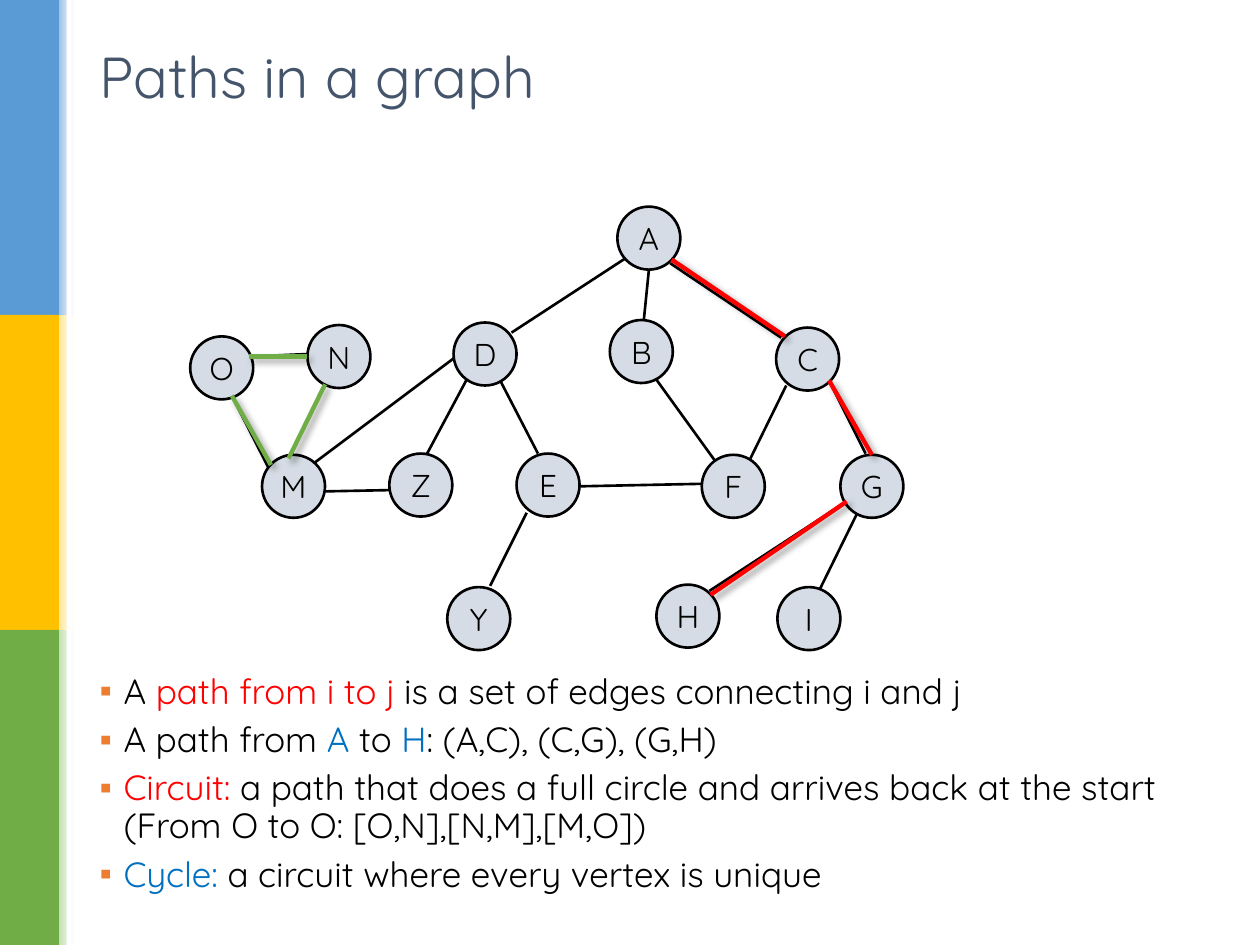
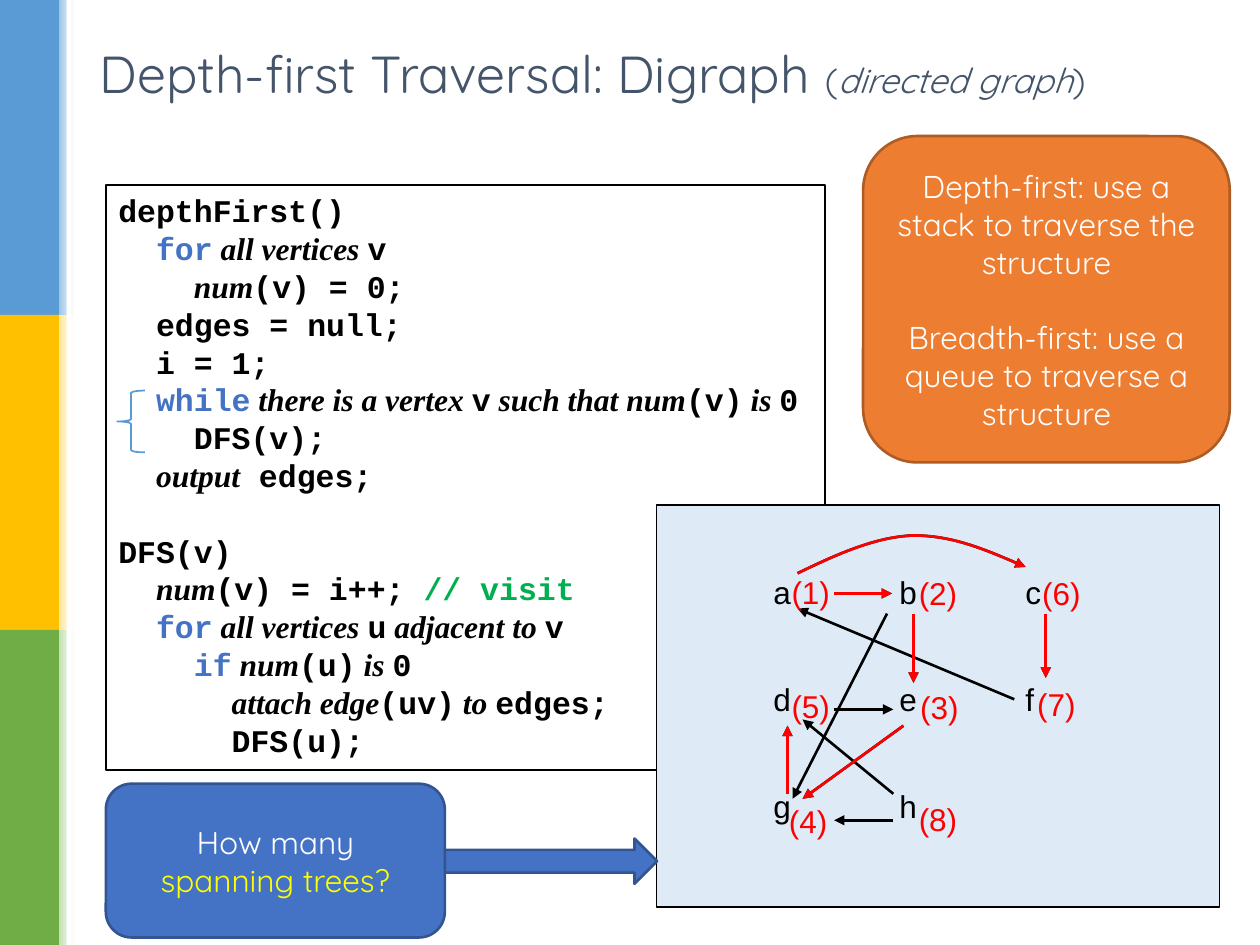
from lxml import etree
from pptx import Presentation
from pptx import util as u
from pptx.dml import color
from pptx.enum import shapes, text
from pptx.oxml import ns

COLORS = {
    "black": "000000", "white": "FFFFFF", "slate": "44546A", "node": "D6DCE5",
    "red": "FF0000", "green": "70AD47", "link": "0070C0", "orange": "ED7D31",
    "rust": "AF5C24", "blue": "4472C4", "navy": "325491", "yellow": "FFFF00",
    "comment": "00B050", "panel": "DEEBF7", "sky": "5B9BD5", "gold": "FFC000",
    "pale sky": "9DC3E6", "pale gold": "FFE699", "pale green": "C5E0B4",
}
BANDS = [("sky", "pale sky"), ("gold", "pale gold"), ("green", "pale green")]
FONT = "Quicksand"
CODE_STYLES = {
    "code": ("Courier New", "black", False),
    "keyword": ("Courier New", "blue", False),
    "comment": ("Courier New", "comment", False),
    "prose": ("Times New Roman", "black", True),
}
LINE_PITCH = 21.6
SHAPE = shapes.MSO_SHAPE
CENTER = text.PP_ALIGN.CENTER
MIDDLE = text.MSO_ANCHOR.MIDDLE


def rgb(name):
    return color.RGBColor.from_string(COLORS[name])


def inches(*values):
    return [u.Inches(value) for value in values]


def add_xml(parent, tag, **attributes):
    return etree.SubElement(parent, ns.qn(tag), attributes)


def write_span(para, words, size, ink="black", font=FONT, bold=None, italic=None):
    span = para.add_run()
    span.text = words
    style_span(span, size, ink, font, bold, italic)


def style_span(span, size, ink="black", font=FONT, bold=None, italic=None):
    span.font.size, span.font.name = u.Pt(size), font
    span.font.bold, span.font.italic = bold, italic
    span.font.color.rgb = rgb(ink)


def set_outline(shape, ink, width):
    shape.line.color.rgb = rgb(ink)
    shape.line.width = u.Pt(width)


def add_box(page, kind, box, fill=None, ink=None, width=1.5):
    shape = page.shapes.add_shape(kind, *inches(*box))
    shape.shadow.inherit = False
    if fill:
        shape.fill.solid()
        shape.fill.fore_color.rgb = rgb(fill)
    else:
        shape.fill.background()
    if ink:
        set_outline(shape, ink, width)
    else:
        shape.line.fill.background()
    return shape


def add_arrowhead(shape):
    add_xml(shape.line._get_or_add_ln(), "a:tailEnd", type="triangle")


def add_edge(page, origin, ends, ink="black", width=1.5, arrow=False, shadow=False):
    left, top = origin
    x1, y1, x2, y2 = ends
    edge = page.shapes.add_connector(
        shapes.MSO_CONNECTOR.STRAIGHT, *inches(left + x1, top + y1, left + x2, top + y2))
    set_outline(edge, ink, width)
    if arrow:
        add_arrowhead(edge)
    effects = add_xml(edge._element.spPr, "a:effectLst")
    if shadow:
        outer = add_xml(effects, "a:outerShdw", blurRad=str(u.Pt(4)), dist=str(u.Pt(3)),
                        dir="2700000", algn="tl", rotWithShape="0")
        tint = add_xml(outer, "a:srgbClr", val=COLORS["black"])
        add_xml(tint, "a:alpha", val="40000")


def add_curve(page, origin, points, ink):
    left, top = origin
    places = [inches(left + x, top + y) for x, y in points]
    builder = page.shapes.build_freeform(*places[0])
    builder.add_line_segments(places[1:], close=False)
    curve = builder.convert_to_shape()
    curve.shadow.inherit = False
    curve.fill.background()
    set_outline(curve, ink, 1.5)
    add_arrowhead(curve)
    segments = list(curve._element.iter(ns.qn("a:lnTo")))
    for start in range(0, len(segments), 3):
        bezier = etree.Element(ns.qn("a:cubicBezTo"))
        segments[start].addprevious(bezier)
        for segment in segments[start:start + 3]:
            bezier.append(segment[0])
            segment.getparent().remove(segment)


def add_master_bands(deck, page):
    height = 7.5 / len(BANDS)
    pieces = []
    for row, (solid, pale) in enumerate(BANDS):
        pieces.append(add_box(page, SHAPE.RECTANGLE, (0, row * height, 0.47, height), solid))
        fade = add_box(page, SHAPE.RECTANGLE, (0.47, row * height, 0.12, height), "white")
        fade.fill.gradient()
        fade.fill.gradient_angle = 0
        for stop, shade in zip(fade.fill.gradient_stops, (pale, "white")):
            stop.color.rgb = rgb(shade)
        pieces.append(fade)
    pieces.append(add_box(page, SHAPE.RECTANGLE, (0.53, 0, 0.04, 7.5), "white"))
    tree = deck.slide_master.shapes._spTree
    for order, piece in enumerate(pieces):
        piece._element.nvSpPr.cNvPr.set("id", str(100 + order))
        tree.insert(2 + order, piece._element)


def place(shape, box):
    shape.left, shape.top, shape.width, shape.height = inches(*box)
    shape.text_frame.word_wrap = True
    shape.text_frame.auto_size = text.MSO_AUTO_SIZE.NONE


def add_title(page, box, spans):
    title = page.shapes.title
    place(title, box)
    title.text_frame.vertical_anchor = MIDDLE
    para = title.text_frame.paragraphs[0]
    para.alignment = text.PP_ALIGN.LEFT
    for words, size, italic in spans:
        write_span(para, words, size, "slate", italic=italic)


def add_bullets(page, box, items):
    body = page.placeholders[1]
    place(body, box)
    frame = body.text_frame
    for number, spans in enumerate(items):
        para = frame.add_paragraph() if number else frame.paragraphs[0]
        para.line_spacing, para.space_before = 0.9, u.Pt(6)
        settings = para._p.get_or_add_pPr()
        settings.set("marL", str(u.Inches(0.19)))
        settings.set("indent", str(u.Inches(-0.19)))
        add_xml(add_xml(settings, "a:buClr"), "a:srgbClr", val=COLORS["orange"])
        add_xml(settings, "a:buFont", typeface="Arial")
        add_xml(settings, "a:buChar", char="▪")
        for words, ink in spans:
            write_span(para, words, 20, ink)


def add_path_graph(page, origin):
    left, top = origin
    nodes = {
        "A": (3.9, 0.64), "B": (3.84, 1.54), "C": (5.16, 1.6), "D": (2.6, 1.56),
        "E": (3.1, 2.6), "F": (4.57, 2.61), "G": (5.67, 2.61), "H": (4.21, 3.64),
        "I": (5.17, 3.66), "M": (1.08, 2.61), "N": (1.44, 1.58), "O": (0.51, 1.67),
        "Y": (2.55, 3.66), "Z": (2.09, 2.6),
    }
    edges = [
        (3.98, 1.04, 3.06, 1.64), (5.72, 2.98, 4.63, 3.69), (4.32, 1.09, 5.2, 1.68),
        (2.7, 2.02, 2.39, 2.6), (5.24, 2.06, 4.95, 2.65), (2.97, 2.02, 3.27, 2.6),
        (5.58, 2.02, 5.87, 2.6), (0.84, 2.14, 1.14, 2.73), (1.58, 2.05, 1.29, 2.64),
        (3.18, 3.07, 2.89, 3.65), (4.15, 1.14, 4.11, 1.54), (2.62, 1.83, 1.5, 2.67),
        (5.8, 3.08, 5.51, 3.67), (4.57, 2.84, 3.59, 2.86), (4.67, 2.65, 4.2, 2),
        (1.44, 1.81, 0.98, 1.83), (2.09, 2.89, 1.57, 2.9),
    ]
    highlights = {
        "red": [(5.23, 1.67, 4.33, 1.06), (5.58, 2.02, 5.92, 2.61), (5.72, 2.98, 4.64, 3.72)],
        "green": [(1.44, 1.83, 0.98, 1.83), (1.58, 2.05, 1.29, 2.64), (1.15, 2.69, 0.84, 2.14)],
    }
    for ends in edges:
        add_edge(page, origin, ends)
    for name, (x, y) in nodes.items():
        node = add_box(page, SHAPE.OVAL, (left + x, top + y, 0.5, 0.5), "node", "black")
        frame = node.text_frame
        frame.text = name
        frame.word_wrap, frame.vertical_anchor = False, MIDDLE
        frame.paragraphs[0].alignment = CENTER
        style_span(frame.paragraphs[0].runs[0], 18)
    for ink, route in highlights.items():
        for ends in route:
            add_edge(page, origin, ends, ink, 2.5, shadow=True)


def add_code(page, box, lines):
    frame = add_box(page, SHAPE.RECTANGLE, box, ink="black", width=1).text_frame
    frame.word_wrap, frame.vertical_anchor = True, text.MSO_ANCHOR.TOP
    for number, (level, *spans) in enumerate(lines):
        para = frame.add_paragraph() if number else frame.paragraphs[0]
        para.alignment = text.PP_ALIGN.LEFT
        para.line_spacing = u.Pt(LINE_PITCH)
        para._p.get_or_add_pPr().set("marL", str(u.Inches(0.3 * level)))
        if number and level == 0:
            para.space_before = u.Pt(LINE_PITCH)
        for style, words in spans:
            font, ink, italic = CODE_STYLES[style]
            write_span(para, words, 18, ink, font, True, italic)


def add_label(page, box, rows, ink, gap=0, align=None, tabs=()):
    frame = page.shapes.add_textbox(*inches(*box)).text_frame
    frame.word_wrap = True
    frame.text = "\n".join(rows)
    for number, para in enumerate(frame.paragraphs):
        para.alignment = align
        para.space_before = u.Pt(gap if number else 0)
        if tabs:
            stops = add_xml(para._p.get_or_add_pPr(), "a:tabLst")
            for stop in tabs:
                add_xml(stops, "a:tab", pos=str(u.Inches(stop)), algn="l")
        for span in para.runs:
            style_span(span, 18, ink, "Arial")


def add_digraph(page, box):
    left, top = box[0] - 0.01, box[1] - 0.01
    origin = (left, top)
    tree_edges = [(1.42, 0.71, 1.88, 0.71), (1.97, 1.76, 1.17, 2.34), (1.05, 2.3, 1.05, 1.76),
                  (2.05, 0.87, 2.05, 1.42), (3.1, 0.87, 3.1, 1.38)]
    other_edges = [(1.42, 1.63, 1.89, 1.63), (2.85, 1.55, 1.13, 0.83), (1.84, 0.87, 1.09, 2.34),
                   (1.89, 2.3, 1.17, 1.71), (1.89, 2.51, 1.42, 2.51)]
    arc = [(1.13, 0.55), (1.44, 0.4), (1.75, 0.26), (2.05, 0.25),
           (2.35, 0.25), (2.64, 0.37), (2.94, 0.5)]
    visits = [(0.92, 0.5), (1.93, 0.51), (1.94, 1.41), (0.9, 2.32),
              (0.92, 1.4), (2.91, 0.51), (2.87, 1.39), (1.93, 2.3)]
    add_box(page, SHAPE.RECTANGLE, box, "panel", "black", 1)
    add_label(page, (left + 0.84, top + 0.5, 2.52, 2.21),
              ["a\tb\tc", "d\te\tf", "g\th"], "black", gap=39.6, tabs=(1, 2))
    for ink, edges in (("black", tree_edges + other_edges), ("red", tree_edges)):
        for ends in edges:
            add_edge(page, origin, ends, ink, arrow=True)
        add_curve(page, origin, arc, ink)
    for number, (x, y) in enumerate(visits, 1):
        add_label(page, (left + x, top + y, 0.63, 0.4), [f"({number})"], "red", align=CENTER)


def add_callout(page, box, fill, ink, paragraphs):
    frame = add_box(page, SHAPE.ROUNDED_RECTANGLE, box, fill, ink).text_frame
    frame.word_wrap, frame.vertical_anchor = True, MIDDLE
    for number, spans in enumerate(paragraphs):
        para = frame.add_paragraph() if number else frame.paragraphs[0]
        para.alignment = CENTER
        para.space_before = u.Pt(LINE_PITCH if number else 0)
        for words, shade in spans:
            write_span(para, words, 18, shade)


def build_paths_page(page):
    add_title(page, (0.69, 0.26, 8.62, 0.68), [("Paths in a graph", 33, None)])
    add_path_graph(page, (1, 1))
    add_bullets(page, (0.69, 5.3, 8.92, 2.07), [
        [("A ", "black"), ("path from i to j", "red"),
         (" is a set of edges connecting i and j", "black")],
        [("A path from ", "black"), ("A", "link"), (" to ", "black"), ("H", "link"),
         (": (A,C), (C,G), (G,H)", "black")],
        [("Circuit:", "red"), (" a path that does a full circle and arrives back at the start "
                               "(From O to O: [O,N],[N,M],[M,O])", "black")],
        [("Cycle: ", "link"), ("a circuit where every vertex is unique", "black")],
    ])


def build_traversal_page(page):
    add_title(page, (0.69, 0.27, 8.62, 0.61), [
        ("Depth-first Traversal: Digraph ", 29.7, None), ("(", 19.8, None),
        ("directed graph", 19.8, True), (")", 19.8, None)])
    code, keyword, prose = "code", "keyword", "prose"
    add_code(page, (0.84, 1.47, 5.71, 4.64), [
        (0, (code, "depthFirst()")),
        (1, (keyword, "for"), (prose, " all vertices "), (code, "v")),
        (2, (prose, "num"), (code, "(v) = 0;")),
        (1, (code, "edges = null;")),
        (1, (code, "i = 1;")),
        (1, (keyword, "while"), (prose, " there is a vertex "), (code, "v"),
         (prose, " such that num"), (code, "(v)"), (prose, " is "), (code, "0")),
        (2, (code, "DFS(v);")),
        (1, (prose, "output"), (code, " edges;")),
        (0, (code, "DFS(v)")),
        (1, (prose, "num"), (code, "(v) = i++; "), ("comment", "// visit")),
        (1, (keyword, "for"), (prose, " all vertices "), (code, "u"),
         (prose, " adjacent to "), (code, "v")),
        (2, (keyword, "if"), (prose, " num"), (code, "(u)"), (prose, " is "), (code, "0")),
        (3, (prose, "attach edge"), (code, "(uv)"), (prose, " to "), (code, "edges;")),
        (3, (code, "DFS(u);")),
    ])
    add_digraph(page, (5.21, 4.01, 4.47, 3.19))
    arrow = add_box(page, SHAPE.DOWN_ARROW, (4.19, 5.99, 0.36, 1.69), "blue", "navy")
    arrow.rotation = 270
    add_callout(page, (0.84, 6.22, 2.69, 1.22), "blue", "navy",
                [[("How many ", "white"), ("spanning trees?", "yellow")]])
    add_callout(page, (6.85, 1.08, 2.91, 2.59), "orange", "rust", [
        [("Depth-first: use a stack to traverse the structure", "white")],
        [("Breadth-first: use a queue to traverse a structure", "white")]])
    add_box(page, SHAPE.LEFT_BRACE, (0.93, 3.1, 0.22, 0.49), ink="sky", width=1)


deck = Presentation()
deck.slide_width, deck.slide_height = inches(10, 7.5)
paths_page = deck.slides.add_slide(deck.slide_layouts[1])
add_master_bands(deck, paths_page)
build_paths_page(paths_page)
build_traversal_page(deck.slides.add_slide(deck.slide_layouts[5]))
deck.save("out.pptx")
